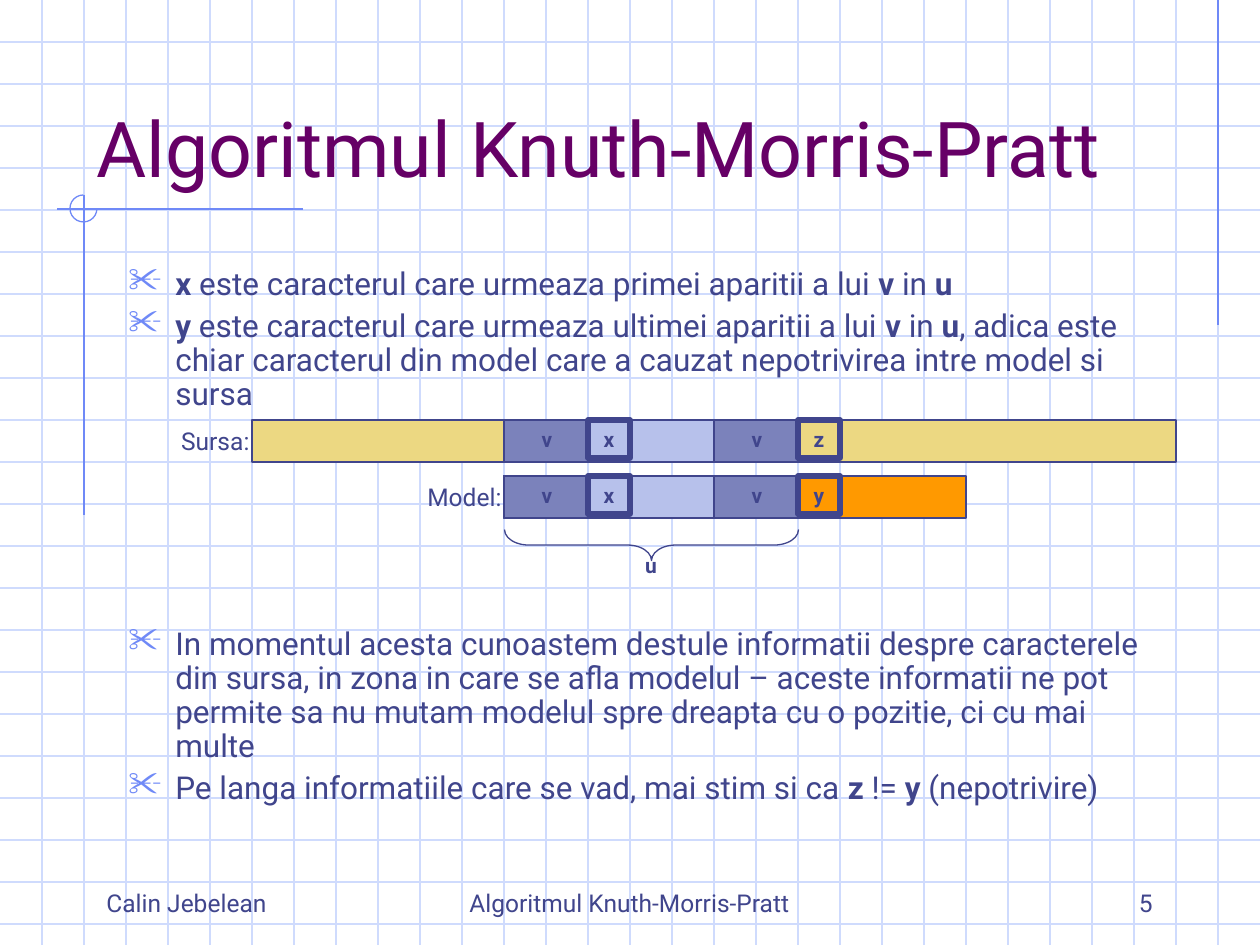
import pptx
import pptx.util
import pptx.dml.color
import pptx.enum.shapes
import pptx.enum.text
import pptx.oxml.ns
from lxml import etree

RGB = pptx.dml.color.RGBColor
SHAPE = pptx.enum.shapes.MSO_SHAPE
ALIGN = pptx.enum.text.PP_ALIGN
ANCHOR = pptx.enum.text.MSO_ANCHOR
qn = pptx.oxml.ns.qn

INK = RGB(0x40, 0x45, 0x8C)
PURPLE = RGB(0x66, 0x00, 0x66)
GRID = RGB(0xCF, 0xDB, 0xFD)
ACCENT = RGB(0x6F, 0x89, 0xF7)
SAND = RGB(0xEC, 0xD8, 0x82)
LILAC = RGB(0xB7, 0xC1, 0xEB)
ORANGE = RGB(0xFF, 0x99, 0x00)

FONT = "Roboto"
PX = 914400 / 126
WIDTH, HEIGHT = 1260, 945
CELL = 42             # grid pitch, also the size of one character cell
MATCH_X = 504         # left edge of the matched part u
MATCH_W = 7 * CELL
V_W = 2 * CELL

# Runs alternate between plain and bold, starting with plain
BULLETS = [
    (0, ["", "x", " este caracterul care urmeaza primei aparitii a lui ", "v",
         " in ", "u"]),
    (4.5, ["", "y", " este caracterul care urmeaza ultimei aparitii a lui ", "v",
           " in ", "u", ", adica este chiar caracterul din model care a cauzat "
           "nepotrivirea intre model si sursa"]),
    (123.5, ["In momentul acesta cunoastem destule informatii despre caracterele "
             "din sursa, in zona in care se afla modelul – aceste informatii ne "
             "pot permite sa nu mutam modelul spre dreapta cu o pozitie, ci cu "
             "mai multe"]),
    (4.5, ["Pe langa informatiile care se vad, mai stim si ca ", "z", " != ", "y",
           " (nepotrivire)"]),
]


def px(*lengths):
    return [pptx.util.Emu(round(length * PX)) for length in lengths]


def add_line(slide, x1, y1, x2, y2, color):
    line = slide.shapes.add_connector(
        pptx.enum.shapes.MSO_CONNECTOR.STRAIGHT, *px(x1, y1, x2, y2))
    line.line.color.rgb = color
    line.line.width = pptx.util.Pt(0.75)
    etree.SubElement(line._element.spPr, qn("a:effectLst"))


def add_shape(slide, kind, box, fill=None, line=INK, width=0.75, alpha=None):
    shape = slide.shapes.add_shape(kind, *px(*box))
    shape.shadow.inherit = False
    shape.line.color.rgb = line
    shape.line.width = pptx.util.Pt(width)
    if fill is None:
        shape.fill.background()
    else:
        shape.fill.solid()
        shape.fill.fore_color.rgb = fill
    if alpha is not None:
        color = shape._element.spPr.find(qn("a:solidFill")).find(qn("a:srgbClr"))
        etree.SubElement(color, qn("a:alpha"), val=str(alpha * 1000))
    return shape


def add_run(paragraph, text, size, color=INK, bold=False):
    run = paragraph.add_run()
    run.text = text
    run.font.name = FONT
    run.font.size = pptx.util.Pt(size)
    run.font.bold = bold
    run.font.color.rgb = color


def write(shape, text, size, align, color=INK, bold=False, anchor=ANCHOR.TOP):
    frame = shape.text_frame
    frame.word_wrap = True
    frame.auto_size = pptx.enum.text.MSO_AUTO_SIZE.NONE
    frame.vertical_anchor = anchor
    frame.paragraphs[0].alignment = align
    add_run(frame.paragraphs[0], text, size, color, bold)


def add_label(slide, box, text, size=14, align=ALIGN.RIGHT, **style):
    write(slide.shapes.add_textbox(*px(*box)), text, size, align, **style)


def add_bullet(paragraph, space_before, runs):
    properties = paragraph._p.get_or_add_pPr()
    indent = px(47)[0]
    properties.set("marL", str(indent))
    properties.set("indent", str(-indent))
    color = etree.SubElement(properties, qn("a:buClr"))
    etree.SubElement(color, qn("a:srgbClr"), val=str(ACCENT))
    etree.SubElement(properties, qn("a:buSzPct"), val="110000")
    etree.SubElement(properties, qn("a:buChar"), char="✂")
    paragraph.line_spacing = 0.9
    paragraph.space_before = pptx.util.Pt(space_before)
    for index, text in enumerate(runs):
        if text:
            add_run(paragraph, text, 18, bold=index % 2 == 1)


def add_background(slide):
    for y in range(CELL, HEIGHT, CELL):
        add_line(slide, 0, y, WIDTH, y, GRID)
    for x in range(CELL, WIDTH, CELL):
        add_line(slide, x, 0, x, HEIGHT, GRID)
    # Accent lines and the three-quarter ring at their crossing
    add_line(slide, 1218, 0, 1218, 325, ACCENT)
    add_line(slide, 303, 209, 57, 209, ACCENT)
    add_line(slide, 84, 195, 84, 515, ACCENT)
    ring = add_shape(slide, SHAPE.ARC, (70, 195, 27, 27), line=ACCENT)
    ring.adjustments[0] = 0
    ring.adjustments[1] = 270 * 0.6


def add_title(slide):
    title = slide.shapes.title
    title.left, title.top, title.width, title.height = px(84, 42, 1071, 157)
    write(title, "Algoritmul Knuth-Morris-Pratt", 44, ALIGN.LEFT,
          color=PURPLE, anchor=ANCHOR.BOTTOM)
    slide.shapes._spTree.append(title._element)  # in front of the grid


def add_body(slide):
    frame = slide.shapes.add_textbox(*px(116, 262, 1071, 567)).text_frame
    frame.word_wrap = True
    for index, (space_before, runs) in enumerate(BULLETS):
        paragraph = frame.add_paragraph() if index else frame.paragraphs[0]
        add_bullet(paragraph, space_before, runs)


def add_string_row(slide, y, name, bar_x, bar_w, fill, mismatch):
    add_shape(slide, SHAPE.RECTANGLE, (bar_x, y, bar_w, CELL), fill)
    add_label(slide, (bar_x - 116, y, 126, 43), name)
    add_shape(slide, SHAPE.RECTANGLE, (MATCH_X, y, MATCH_W, CELL), LILAC)
    # v opens and closes the match; one framed character follows each
    for v_x, following in ((MATCH_X, "x"), (MATCH_X + MATCH_W - V_W, mismatch)):
        add_shape(slide, SHAPE.RECTANGLE, (v_x, y, V_W, CELL), INK, alpha=50)
        add_label(slide, (v_x + 22, y, CELL, 38), "v", 12, ALIGN.CENTER, bold=True)
        frame = add_shape(slide, SHAPE.RECTANGLE, (v_x + V_W, y, CELL, 38), width=3)
        write(frame, following, 12, ALIGN.CENTER, bold=True)


def add_match_brace(slide):
    depth, center_x, center_y = 31, MATCH_X + MATCH_W // 2, 545
    brace = add_shape(slide, SHAPE.LEFT_BRACE, (
        center_x - depth // 2, center_y - MATCH_W // 2, depth, MATCH_W))
    brace.rotation = 270
    brace.adjustments[0] = 0.78
    add_label(slide, (center_x - CELL // 2, 546, CELL, 38), "u", 12,
              ALIGN.CENTER, bold=True)


def add_footer(slide):
    for x, width, text, align in (
            (94, 262, "Calin Jebelean", ALIGN.LEFT),
            (430, 399, "Algoritmul Knuth-Morris-Pratt", ALIGN.CENTER),
            (903, 262, "5", ALIGN.RIGHT)):
        add_label(slide, (x, 861, width, 63), text, align=align,
                  anchor=ANCHOR.BOTTOM)


def main():
    deck = pptx.Presentation()
    deck.slide_width, deck.slide_height = px(WIDTH, HEIGHT)
    slide = deck.slides.add_slide(deck.slide_layouts[5])
    add_background(slide)
    add_footer(slide)
    add_title(slide)
    add_body(slide)
    add_string_row(slide, 420, "Sursa:", 252, 924, SAND, "z")
    add_string_row(slide, 476, "Model:", MATCH_X, 462, ORANGE, "y")
    add_match_brace(slide)
    deck.save("out.pptx")


if __name__ == "__main__":
    main()
